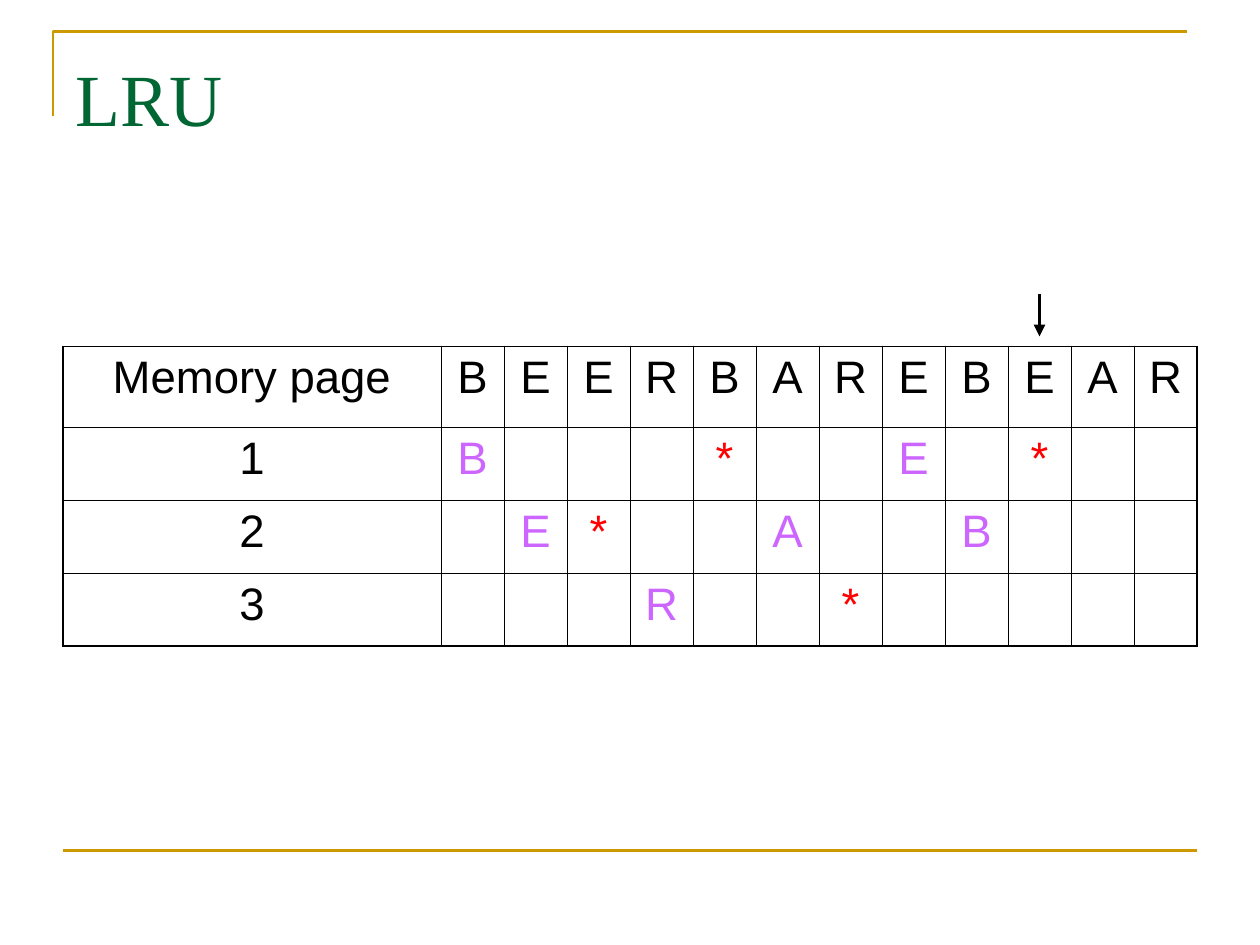
"""Build the LRU page replacement slide."""
from lxml import etree
from pptx import Presentation
from pptx.dml.color import RGBColor
from pptx.enum import shapes, text
from pptx.oxml import ns
from pptx.util import Inches, Pt

TITLE = "LRU"
HEAD = ["Memory page"] + list("BEERBAREBEAR")
PAGES = [
    {0: "1", 1: "B", 5: "*", 8: "E", 10: "*"},
    {0: "2", 2: "E", 3: "*", 6: "A", 9: "B"},
    {0: "3", 4: "R", 7: "*"},
]
HUES = {"ink": "000000", "title": "006633", "rule": "CC9900",
        "load": "CC66FF", "hit": "FF0000", "white": "FFFFFF"}
LEFT, TOP, WIDE = 0.5, 2.75, 9
FIRST, STEP = 3, 0.5
ROWS = [0.64] + [0.58] * 3
WHITE = range(9, 12)
STOP = 10
THIN, THICK = 0.45, 1.08


def hue(name):
    return RGBColor.from_string(HUES[name])


def write(frame, words, face, size, tint, align):
    para = frame.paragraphs[0]
    para.alignment = align
    run = para.add_run()
    run.text = words
    run.font.name, run.font.size = face, Pt(size)
    run.font.color.rgb = hue(tint)


def draw(slide, start, end, tint, width):
    ends = [Inches(v) for v in (*start, *end)]
    line = slide.shapes.add_connector(shapes.MSO_CONNECTOR.STRAIGHT, *ends)
    line.line.color.rgb = hue(tint)
    line.line.width = Pt(width)
    etree.SubElement(line._element.spPr, ns.qn("a:effectLst"))
    return line


def frame_rules(slide):
    pen = slide.shapes.build_freeform(Inches(0.42), Inches(0.92), scale=1.0)
    pen.add_line_segments([(Inches(x), Inches(0.25)) for x in (0.42, 9.42)], close=False)
    edge = pen.convert_to_shape()
    edge.shadow.inherit = False
    edge.fill.background()
    edge.line.color.rgb = hue("rule")
    edge.line.width = Pt(1.5)
    draw(slide, (LEFT, 6.75), (LEFT + WIDE, 6.75), "rule", 1.5)


def add_title(slide):
    title = slide.shapes.title
    title.left, title.top = Inches(LEFT), Inches(0.3)
    title.width, title.height = Inches(WIDE), Inches(1.25)
    frame = title.text_frame
    frame.vertical_anchor = text.MSO_ANCHOR.TOP
    frame.margin_top = Inches(0.12)
    write(frame, TITLE, "Times New Roman", 42, "title", text.PP_ALIGN.LEFT)


def border(cell, row, col):
    outer = {"L": col == 0, "R": col == len(HEAD) - 1,
             "T": row == 0, "B": row == len(PAGES)}
    props = cell._tc.get_or_add_tcPr()
    for side, thick in outer.items():
        line = etree.SubElement(props, ns.qn(f"a:ln{side}"),
                                w=str(Pt(THICK if thick else THIN)))
        fill = etree.SubElement(line, ns.qn("a:solidFill"))
        etree.SubElement(fill, ns.qn("a:srgbClr"), val=HUES["ink"])


def tint(words, row, col):
    if row == 0 or col == 0:
        return "ink"
    return "hit" if words == "*" else "load"


def add_grid(slide):
    size = [Inches(v) for v in (LEFT, TOP, WIDE, sum(ROWS))]
    grid = slide.shapes.add_table(len(ROWS), len(HEAD), *size).table
    grid.first_row = grid.horz_banding = False
    for col in range(len(HEAD)):
        grid.columns[col].width = Inches(STEP if col else FIRST)
    for row, entry in enumerate([dict(enumerate(HEAD))] + PAGES):
        grid.rows[row].height = Inches(ROWS[row])
        for col in range(len(HEAD)):
            cell = grid.cell(row, col)
            border(cell, row, col)
            if row and col in WHITE:
                cell.fill.solid()
                cell.fill.fore_color.rgb = hue("white")
            else:
                cell.fill.background()
            if col in entry:
                words = entry[col]
                write(cell.text_frame, words, "Arial", 26,
                      tint(words, row, col), text.PP_ALIGN.CENTER)


def add_mark(slide):
    mid = LEFT + FIRST + (STOP - 0.5) * STEP
    arrow = draw(slide, (mid, 2.33), (mid, 2.67), "ink", 2.25)
    etree.SubElement(arrow.line._get_or_add_ln(), ns.qn("a:tailEnd"), type="triangle")


def main():
    deck = Presentation()
    deck.slide_width, deck.slide_height = Inches(10), Inches(7.5)
    slide = deck.slides.add_slide(deck.slide_layouts[5])
    frame_rules(slide)
    add_title(slide)
    add_grid(slide)
    add_mark(slide)
    deck.save("out.pptx")


if __name__ == "__main__":
    main()
